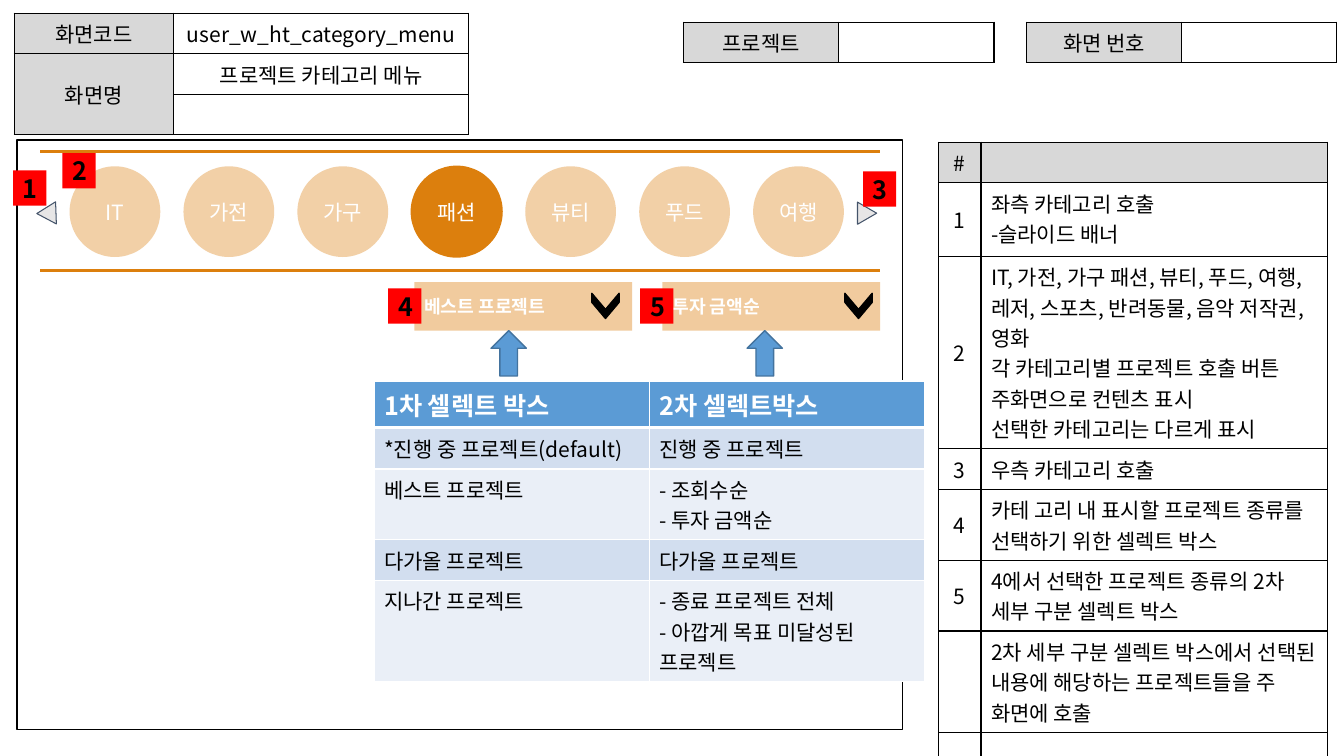
from pptx import Presentation
from pptx.dml.color import RGBColor
from pptx.enum.shapes import MSO_CONNECTOR, MSO_SHAPE as Preset
from pptx.enum.text import MSO_ANCHOR as Anchor, PP_ALIGN as Align
from pptx.oxml.ns import qn
from pptx.util import Inches, Pt
from lxml.etree import SubElement

FONT = "Noto Sans CJK KR"
ORANGE, RED, BLUE, GRAY = "DC7F0D", "FF0000", "5B9BD5", "D8D8D8"
BLACK, WHITE = "000000", "FFFFFF"
BANDS = ["D2DEEF", "EAEFF7"]

SCREEN = [
    ["화면코드", "user_w_ht_category_menu"],
    ["화면명", "프로젝트 카테고리 메뉴"],
    ["", ""],
]
LABELS = [("화면 번호", 10.18), ("프로젝트", 6.78)]
NOTES = [
    ["#", ""],
    ["1", "좌측 카테고리 호출\n-슬라이드 배너"],
    ["2", "IT, 가전, 가구 패션, 뷰티, 푸드, 여행, 레저, 스포츠, 반려동물, 음악 저작권, 영화\n"
          "각 카테고리별 프로젝트 호출 버튼\n주화면으로 컨텐츠 표시\n선택한 카테고리는 다르게 표시"],
    ["3", "우측 카테고리 호출"],
    ["4", "카테 고리 내 표시할 프로젝트 종류를 선택하기 위한 셀렉트 박스"],
    ["5", "4에서 선택한 프로젝트 종류의 2차 세부 구분 셀렉트 박스"],
    ["", "2차 세부 구분 셀렉트 박스에서 선택된 내용에 해당하는 프로젝트들을 주 화면에 호출"],
    ["", ""],
]
OPTIONS = [
    ["1차 셀렉트 박스", "2차 셀렉트박스"],
    ["*진행 중 프로젝트(default)", "진행 중 프로젝트"],
    ["베스트 프로젝트", "- 조회수순\n- 투자 금액순"],
    ["다가올 프로젝트", "다가올 프로젝트"],
    ["지나간 프로젝트", "- 종료 프로젝트 전체\n- 아깝게 목표 미달성된 프로젝트"],
]
CATEGORIES = ["IT", "가전", "가구", "패션", "뷰티", "푸드", "여행"]
SELECTED = "패션"
SELECTS = [("베스트 프로젝트", 4.11, 5.88), ("투자 금액순", 6.57, 8.39)]
BADGES = [("3", 8.56, 1.7), ("2", 0.62, 1.52), ("1", 0.13, 1.69), ("4", 3.85, 2.86), ("5", 6.35, 2.86)]
POINTERS = [(0.35, 268), (8.49, 90)]
ARROWS = [4.87, 7.41]
RULES = [1.5, 2.68]


def color(value):
    return RGBColor.from_string(value)


def write(frame, text, size, ink, bold=False, align=Align.LEFT):
    frame.word_wrap = True
    for number, line in enumerate(text.split("\n")):
        para = frame.paragraphs[0] if number == 0 else frame.add_paragraph()
        para.text = line
        para.alignment = align
        font = para.font
        font.name, font.size, font.bold = FONT, Pt(size), bold
        font.color.rgb = color(ink)
        SubElement(font._element, qn("a:ea"), typeface=FONT)


def add_shape(preset, left, top, width, height, fill=None, line=None, weight=1, alpha=None, turn=0):
    shape = page.shapes.add_shape(preset, *map(Inches, (left, top, width, height)))
    shape.shadow.inherit = False
    shape.rotation = turn
    if fill:
        shape.fill.solid()
        shape.fill.fore_color.rgb = color(fill)
    else:
        shape.fill.background()
    if alpha:
        tint = shape._element.spPr.find(qn("a:solidFill"))[0]
        SubElement(tint, qn("a:alpha"), val=str(alpha * 1000))
    if line:
        shape.line.color.rgb = color(line)
        shape.line.width = Pt(weight)
    else:
        shape.line.fill.background()
    return shape


def label(shape, text, size, ink, bold=False, align=Align.CENTER):
    shape.text_frame.vertical_anchor = Anchor.MIDDLE
    write(shape.text_frame, text, size, ink, bold, align)


def paint_cell(cell, fill, border, bottom=1):
    props = cell._tc.get_or_add_tcPr()
    for side in ("lnL", "lnR", "lnT", "lnB"):
        width = bottom if side == "lnB" else 1
        edge = SubElement(props, qn(f"a:{side}"), w=str(Pt(width)))
        SubElement(SubElement(edge, qn("a:solidFill")), qn("a:srgbClr"), val=border)
    cell.fill.solid()
    cell.fill.fore_color.rgb = color(fill)


def add_table(left, top, columns, rows, content, style):
    frame = page.shapes.add_table(len(rows), len(columns), Inches(left), Inches(top),
                                  Inches(sum(columns)), Inches(sum(rows)))
    table = frame.table
    table.first_row = table.horz_banding = False
    for column, width in zip(table.columns, columns):
        column.width = Inches(width)
    for row, height in zip(table.rows, rows):
        row.height = Inches(height)
    for r, texts in enumerate(content):
        for c, text in enumerate(texts):
            style(table.cell(r, c), text, r, c)
    return table


def form_cell(cell, text, r, c):
    paint_cell(cell, WHITE if c else GRAY, BLACK)
    cell.vertical_anchor = Anchor.MIDDLE
    write(cell.text_frame, text, 15, BLACK, align=Align.CENTER)


def note_cell(cell, text, r, c):
    paint_cell(cell, WHITE if r else GRAY, BLACK)
    cell.vertical_anchor = Anchor.TOP if c else Anchor.MIDDLE
    write(cell.text_frame, text, 15, BLACK, align=Align.LEFT if c else Align.CENTER)


def option_cell(cell, text, r, c):
    header = r == 0
    paint_cell(cell, BLUE if header else BANDS[(r - 1) % 2], WHITE, 3 if header else 1)
    write(cell.text_frame, text, 18 if header else 15, WHITE if header else BLACK, header)


deck = Presentation()
deck.slide_width, deck.slide_height = Inches(13.33), Inches(7.5)
page = deck.slides.add_slide(deck.slide_layouts[6])

screen = add_table(0.14, 0.13, [1.58, 2.93], [0.4] * 3, SCREEN, form_cell)
screen.cell(1, 0).merge(screen.cell(2, 0))
for text, left in LABELS:
    add_table(left, 0.22, [1.54] * 2, [0.4], [[text, ""]], form_cell)
add_table(9.31, 1.41, [0.42, 3.44], [0.36, 0.73, 1.38, 0.36, 0.56, 0.53, 0.33, 0.92], NOTES, note_cell)

add_shape(Preset.RECTANGLE, 0.17, 1.39, 8.78, 5.85, line=BLACK)
for top in RULES:
    rule = page.shapes.add_connector(MSO_CONNECTOR.STRAIGHT, Inches(0.4), Inches(top), Inches(8.73), Inches(top))
    rule.line.color.rgb = color(ORANGE)
    rule.line.width = Pt(2.25)
    SubElement(rule._element.spPr, qn("a:effectLst"))
for left, turn in POINTERS:
    add_shape(Preset.ISOSCELES_TRIANGLE, left, 2.02, 0.22, 0.19, "E7E6E6", "44546A", 0.75, turn=turn)
for place, name in enumerate(CATEGORIES):
    chosen = name == SELECTED
    circle = add_shape(Preset.OVAL, 0.69 + place * 1.13, 1.65, 0.9, 0.9, ORANGE,
                       ORANGE if chosen else None, alpha=None if chosen else 36)
    label(circle, name, 15, WHITE)

for text, left, chevron_left in SELECTS:
    box = add_shape(Preset.RECTANGLE, left, 2.8, 2.16, 0.48, ORANGE, alpha=40)
    label(box, text, 13, WHITE, True, Align.LEFT)
    chevron = add_shape(Preset.CHEVRON, chevron_left, 2.9, 0.25, 0.27, BLACK, BLACK, turn=90)
    chevron.adjustments[0] = 0.64
for text, left, top in BADGES:
    label(add_shape(Preset.RECTANGLE, left, top, 0.33, 0.35, RED), text, 18, BLACK, True)

add_table(3.71, 3.78, [2.73] * 2, [0.41, 0.41, 0.41, 0.2, 0.2], OPTIONS, option_cell)
for left in ARROWS:
    add_shape(Preset.DOWN_ARROW, left, 3.28, 0.35, 0.45, BLUE, "43739E", turn=180)

deck.save("out.pptx")
